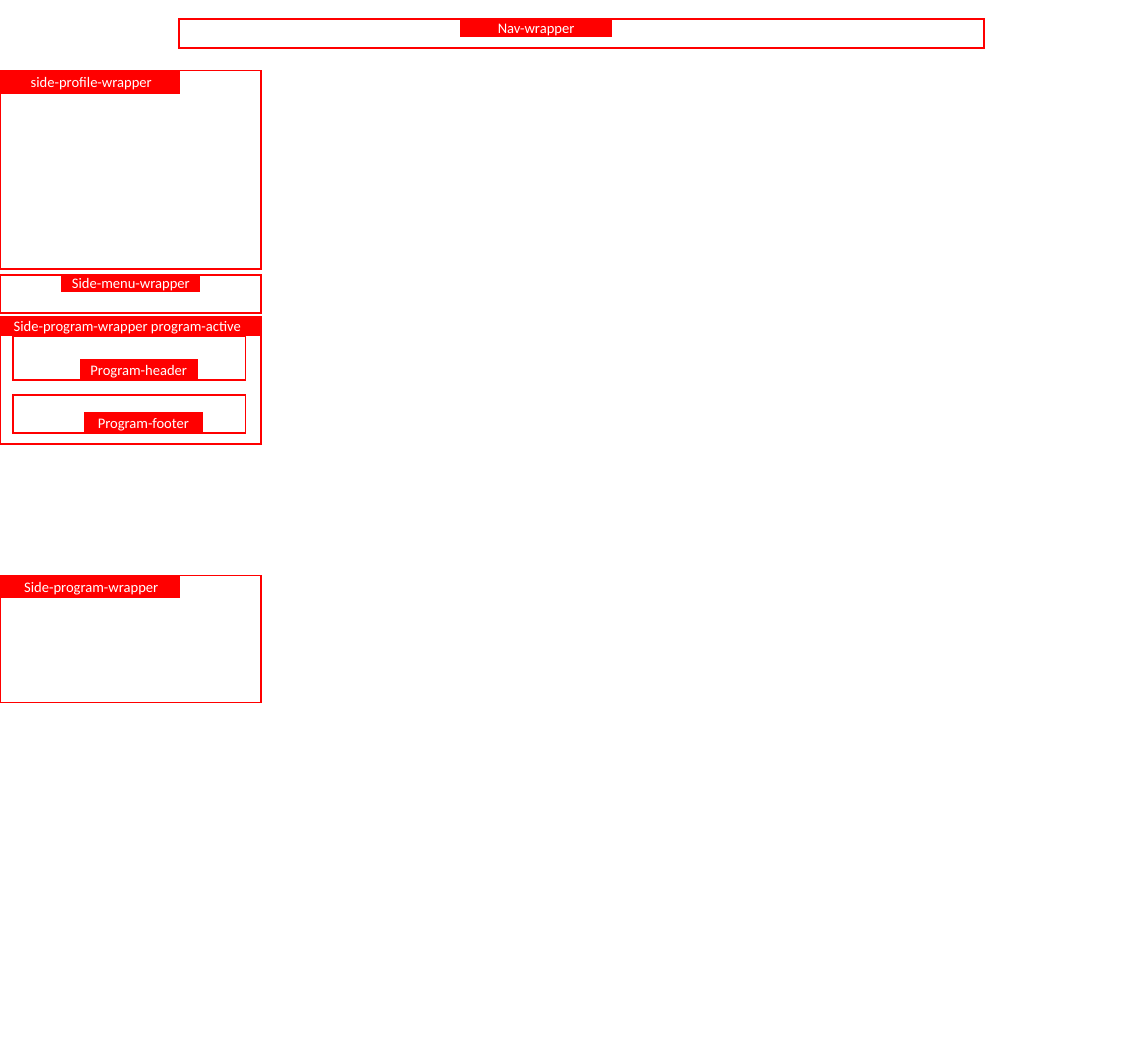
"""Build a slide that maps the wrapper boxes of a page layout."""
from lxml import etree
from pptx import Presentation
from pptx.dml.color import RGBColor
from pptx.enum.shapes import MSO_SHAPE
from pptx.enum.text import MSO_ANCHOR, PP_ALIGN
from pptx.oxml.ns import qn
from pptx.util import Inches, Pt

RED = RGBColor(0xFF, 0x00, 0x00)
WHITE = RGBColor(0xFF, 0xFF, 0xFF)
RECT = MSO_SHAPE.RECTANGLE
MIDDLE = MSO_ANCHOR.MIDDLE
CENTER = PP_ALIGN.CENTER
SIDE = 4.48
TAB = 3.07
INSET = 0.23
INNER = 3.98
PAD = 0.1

WRAPPERS = [
    ("Nav-wrapper", (TAB, 0.32, 13.81, 0.5), (7.9, 0.34, 2.59, 0.28), PAD, PAD),
    ("side-profile-wrapper", (0, 1.21, SIDE, 3.4), (0, 1.21, TAB, 0.38), 0.16, PAD),
    ("Side-menu-wrapper", (0, 4.72, SIDE, 0.65), (1.07, 4.72, 2.35, 0.27), PAD, PAD),
    ("Side-program-wrapper program-active", (0, 5.44, SIDE, 2.18), (0, 5.44, SIDE, 0.3), PAD, 0.21),
    ("Side-program-wrapper", (0, 9.87, SIDE, 2.18), (0, 9.87, TAB, 0.38), 0.16, PAD),
    ("Program-header", (INSET, 5.77, INNER, 0.75), (1.38, 6.17, 2, 0.34), PAD, PAD),
    ("Program-footer", (INSET, 6.77, INNER, 0.66), (1.46, 7.08, 2, 0.34), PAD, PAD),
]


def add_box(group, area):
    box = group.shapes.add_shape(RECT, *map(Inches, area))
    box.shadow.inherit = False
    box.fill.background()
    box.line.color.rgb = RED
    box.line.width = Pt(2.25)
    line = box.element.spPr.find(qn("a:ln"))
    etree.SubElement(line, qn("a:miter"), lim="800000")
    return box


prs = Presentation()
prs.slide_width = Inches(19.69)
prs.slide_height = Inches(18.13)
slide = prs.slides.add_slide(prs.slide_layouts[6])

for name, frame, tab, left, right in WRAPPERS:
    group = slide.shapes.add_group_shape()
    add_box(group, frame)
    label = add_box(group, tab)
    label.fill.solid()
    label.fill.fore_color.rgb = RED
    text = label.text_frame
    text.text = name
    text.vertical_anchor = MIDDLE
    text.margin_left = Inches(left)
    text.margin_right = Inches(right)
    para = text.paragraphs[0]
    para.alignment = CENTER
    para.font.name = "Calibri"
    para.font.size = Pt(18)
    para.font.color.rgb = WHITE

prs.save("out.pptx")
